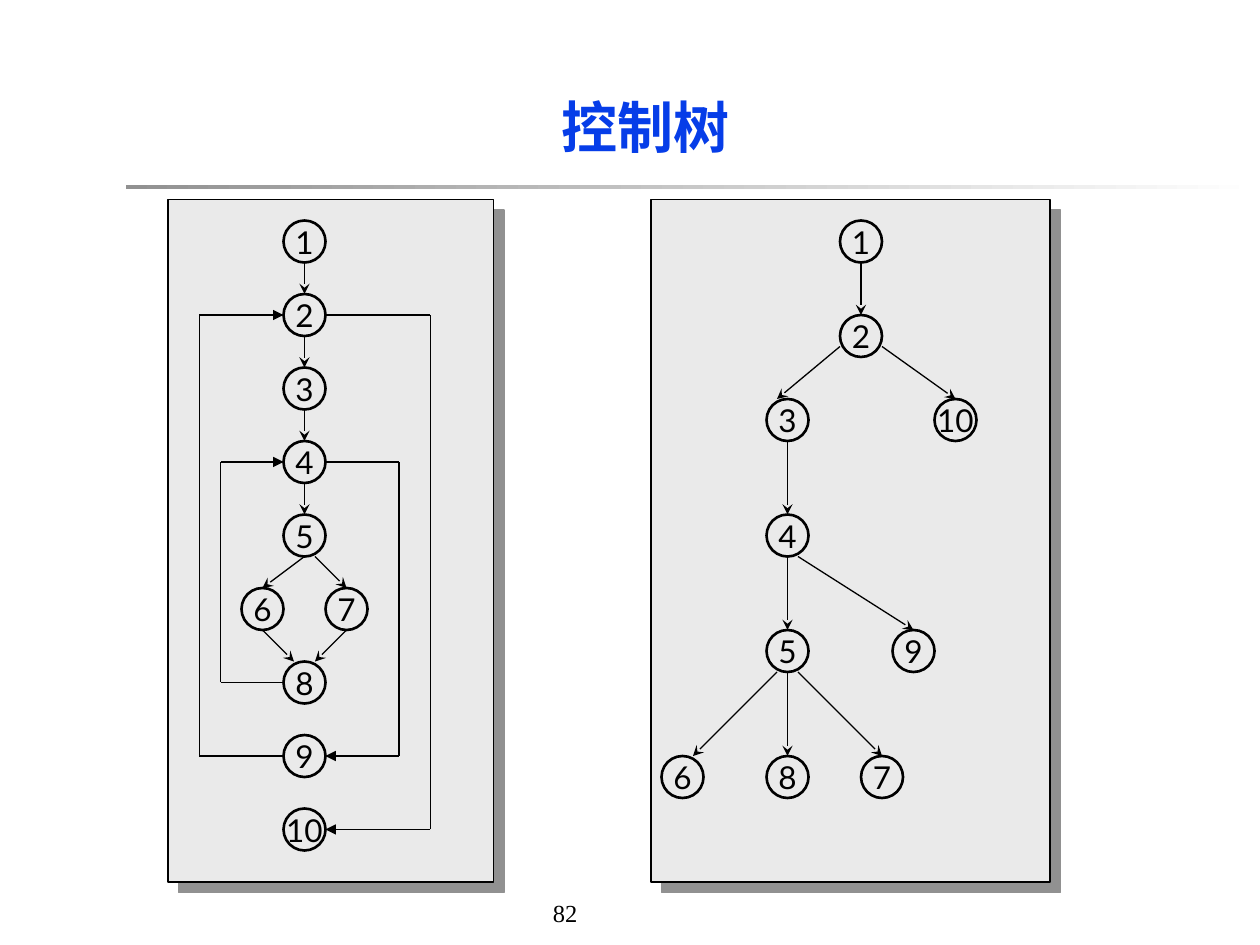
from itertools import pairwise

from lxml.etree import SubElement
from pptx import Presentation
from pptx.dml.color import RGBColor
from pptx.enum.shapes import MSO_CONNECTOR as Connector, MSO_SHAPE as Shape
from pptx.enum.text import MSO_ANCHOR as Anchor, PP_ALIGN as Align
from pptx.oxml.ns import qn
from pptx.util import Inches, Pt

BLACK, PANEL_GREY, SHADOW_GREY, TITLE_BLUE = "000000", "EAEAEA", "919191", "063DE8"
TITLE, PAGE = "控制树", "82"
GRID = 12
NODE_SIZE = 4

FLOW_GRAPH = {
    "panel": (16, 19, 31, 65),
    "nodes": {"1": (29, 23), "2": (29, 30), "3": (29, 37), "4": (29, 44), "5": (29, 51),
              "6": (25, 58), "7": (33, 58), "8": (29, 65), "9": (29, 72), "10": (29, 79)},
    "arrows": [((29, 25), (29, 28)), ((29, 32), (29, 35)), ((29, 39), (29, 42)),
               ((29, 46), (29, 49)), ((29, 53), (25, 56)), ((30, 53), (33, 56)),
               ((25, 60), (28, 63)), ((33, 60), (30, 63))],
    "bent": [((27, 65), (21, 65), (21, 44), (27, 44)),
             ((27, 72), (19, 72), (19, 30), (27, 30)),
             ((31, 30), (41, 30), (41, 79), (31, 79)),
             ((31, 44), (38, 44), (38, 72), (31, 72))],
}
CONTROL_TREE = {
    "panel": (62, 19, 38, 65),
    "nodes": {"1": (82, 23), "2": (82, 32), "3": (75, 40), "4": (75, 51), "5": (75, 62),
              "6": (65, 74), "7": (84, 74), "8": (75, 74), "9": (87, 62), "10": (91, 40)},
    "arrows": [((82, 25), (82, 30)), ((80, 33), (74, 38)), ((75, 42), (75, 49)),
               ((75, 53), (75, 60)), ((74, 64), (66, 72)), ((76, 64), (84, 72)),
               ((76, 53), (87, 60)), ((75, 64), (75, 72)), ((84, 33), (91, 38))],
    "bent": [],
}


def color(value):
    """Turn a hex string into a colour."""
    return RGBColor.from_string(value)


def on_grid(*values):
    """Turn grid steps into lengths."""
    return [Inches(value / GRID) for value in values]


def style_text(paragraph, size, font, value=BLACK, bold=False, align=None):
    """Set the font and alignment of a paragraph."""
    paragraph.font.size, paragraph.font.name = Pt(size), font
    paragraph.font.bold, paragraph.font.color.rgb = bold, color(value)
    paragraph.alignment = align


def add_outlined(shapes, kind, box, width):
    """Add a grey shape with a black outline."""
    shape = shapes.add_shape(kind, *on_grid(*box))
    shape.shadow.inherit = False
    shape.fill.solid()
    shape.fill.fore_color.rgb = color(PANEL_GREY)
    shape.line.color.rgb, shape.line.width = color(BLACK), Pt(width)
    return shape


def add_panel(shapes, box):
    """Add a panel with a hard shadow to the lower right."""
    panel = add_outlined(shapes, Shape.RECTANGLE, box, 0.75)
    effects = panel._element.spPr.find(qn("a:effectLst"))
    shadow = SubElement(effects, qn("a:outerShdw"), dist=str(Pt(8.5)), dir="2700000",
                        algn="ctr", rotWithShape="0")
    SubElement(shadow, qn("a:srgbClr"), val=SHADOW_GREY)


def add_node(shapes, label, center):
    """Add a numbered circle around a centre."""
    left, top = (value - NODE_SIZE / 2 for value in center)
    node = add_outlined(shapes, Shape.OVAL, (left, top, NODE_SIZE, NODE_SIZE), 1.5)
    frame = node.text_frame
    frame.word_wrap, frame.vertical_anchor = False, Anchor.MIDDLE
    frame.text = label
    style_text(frame.paragraphs[0], 18, "Lato", align=Align.CENTER)


def add_route(shapes, points, head):
    """Join points with straight lines and end in an arrowhead."""
    for start, end in pairwise(points):
        line = shapes.add_connector(Connector.STRAIGHT, *on_grid(*start, *end))
        line.line.color.rgb, line.line.width = color(BLACK), Pt(0.75)
        SubElement(line._element.spPr, qn("a:effectLst"))
    SubElement(line.line._get_or_add_ln(), qn("a:tailEnd"), type=head)


def add_graph(slide, graph):
    """Add a panel with its nodes and edges as one group."""
    shapes = slide.shapes.add_group_shape().shapes
    add_panel(shapes, graph["panel"])
    for label, center in graph["nodes"].items():
        add_node(shapes, label, center)
    for kind, head in (("arrows", "stealth"), ("bent", "triangle")):
        for points in graph[kind]:
            add_route(shapes, points, head)


def add_frame(slide):
    """Add the page number, the fading rule and the title."""
    number = slide.shapes.add_textbox(Inches(4.29), Inches(7.08), Inches(1.02), Inches(0.33))
    number.text_frame.word_wrap = True
    number.text_frame.text = PAGE
    style_text(number.text_frame.paragraphs[0], 14, "Times New Roman")

    rule = slide.shapes.add_shape(Shape.RECTANGLE, Inches(1), Inches(1.47), Inches(9), Inches(0.03))
    rule.shadow.inherit = False
    rule.line.fill.background()
    rule.fill.gradient()
    rule.fill.gradient_angle = 0
    for stop, value in zip(rule.fill.gradient_stops, (SHADOW_GREY, "FFFFFF")):
        stop.color.rgb = color(value)

    title = slide.shapes.title
    title.left, title.top, title.width, title.height = map(Inches, (1, 0.5, 8.25, 1))
    title.text_frame.text = TITLE
    title.text_frame.vertical_anchor = Anchor.MIDDLE
    style_text(title.text_frame.paragraphs[0], 32, "Times New Roman", TITLE_BLUE, True, Align.CENTER)


def main():
    """Build and save the slide."""
    presentation = Presentation()
    presentation.slide_width, presentation.slide_height = Inches(10), Inches(7.5)
    slide = presentation.slides.add_slide(presentation.slide_layouts[5])
    add_frame(slide)
    for graph in (FLOW_GRAPH, CONTROL_TREE):
        add_graph(slide, graph)
    presentation.save("out.pptx")


if __name__ == "__main__":
    main()
